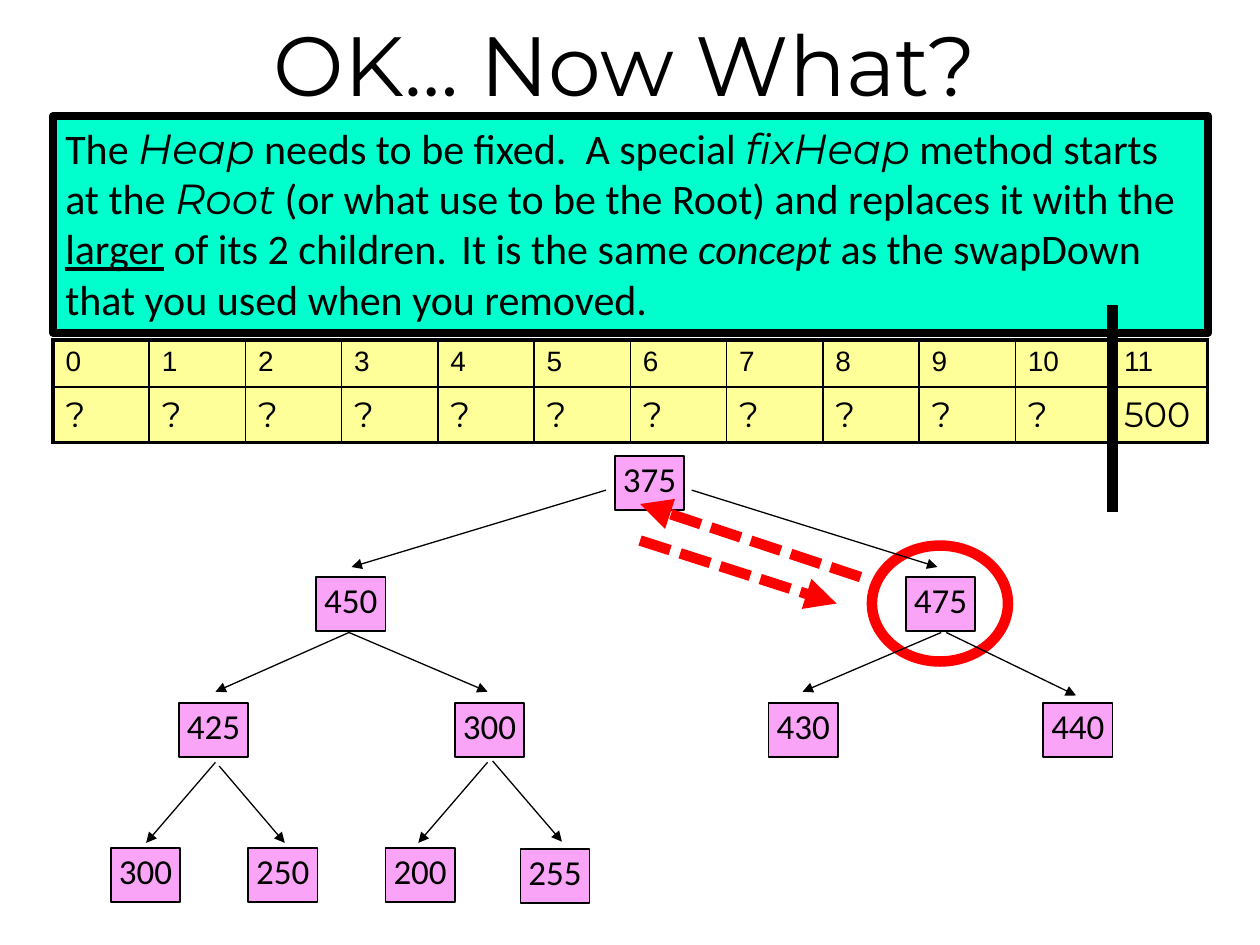
from pptx import Presentation
from pptx.dml.color import RGBColor
from pptx.enum.dml import MSO_LINE
from pptx.enum.shapes import MSO_CONNECTOR, MSO_SHAPE
from pptx.enum.text import MSO_ANCHOR, PP_ALIGN
from pptx.oxml.ns import qn
from pptx.util import Inches, Pt
from lxml import etree

STRAIGHT = MSO_CONNECTOR.STRAIGHT
RECT, OVAL = MSO_SHAPE.RECTANGLE, MSO_SHAPE.OVAL
TOP, MIDDLE = MSO_ANCHOR.TOP, MSO_ANCHOR.MIDDLE
LEFT, CENTER = PP_ALIGN.LEFT, PP_ALIGN.CENTER
DOTTED = MSO_LINE.SQUARE_DOT
BLACK, RED, MINT, YELLOW, PINK = "000000", "FF0000", "00FFCC", "FFFF99", "FAA4F8"

MESSAGE = [
    ("The ", {}),
    ("Heap", {"name": "Montserrat", "italic": True}),
    (" needs to be fixed.  A special ", {}),
    ("fixHeap", {"name": "Montserrat", "italic": True}),
    (" method starts at the ", {}),
    ("Root", {"name": "Montserrat", "italic": True}),
    (" (or what use to be the Root) and replaces it with the ", {}),
    ("larger", {"underline": True}),
    (" of its 2 children.", {}),
    ("  ", {"size": Pt(18)}),
    ("It is the same ", {}),
    ("concept", {"italic": True}),
    (" as the swapDown that you used when you removed.", {}),
]
NODES = [
    ("375", 4, 0), ("450", 1.63, 0.96), ("475", 6.31, 0.96),
    ("425", 0.54, 1.96), ("300", 2.73, 1.96), ("430", 5.22, 1.96), ("440", 7.4, 1.96),
    ("300", 0, 3.11), ("250", 1.09, 3.11), ("200", 2.18, 3.11), ("255", 3.25, 3.12),
]
BRANCHES = [
    (3.93, 0.27, 1.91, 0.88), (4.61, 0.27, 6.56, 0.88),
    (1.89, 1.4, 0.83, 1.87), (1.89, 1.4, 2.99, 1.87),
    (6.59, 1.4, 5.49, 1.87), (6.63, 1.4, 7.66, 1.9),
    (0.83, 2.43, 0.28, 3.07), (0.86, 2.46, 1.38, 3.07),
    (2.99, 2.43, 2.44, 3.07), (3.03, 2.42, 3.58, 3.06),
]
SWAPS = [(5.95, 0.96, 4.2, 0.38), (4.2, 0.67, 5.76, 1.17)]


def rgb(value):
    """Turn a hex string into a colour."""
    return RGBColor.from_string(value)


def write(paragraph, text, **changes):
    """Add a run in the body style with the given changes."""
    run = paragraph.add_run()
    run.text = text
    style = {"name": "Calibri", "size": Pt(20), "italic": False} | changes
    for key, value in style.items():
        setattr(run.font, key, value)
    run.font.color.rgb = rgb(BLACK)


def outlined(slide, preset, box, fill, line, width):
    """Place a preset shape with an outline and an optional fill."""
    shape = slide.shapes.add_shape(preset, *map(Inches, box))
    shape.shadow.inherit = False
    if fill:
        shape.fill.solid()
        shape.fill.fore_color.rgb = rgb(fill)
    else:
        shape.fill.background()
    shape.line.color.rgb = rgb(line)
    shape.line.width = Pt(width)
    return shape


def stroke(slide, ends, color, width, arrow=True, dash=None):
    """Draw a straight line, with an arrowhead at its end if wanted."""
    connector = slide.shapes.add_connector(STRAIGHT, *map(Inches, ends))
    connector.line.color.rgb = rgb(color)
    connector.line.width = Pt(width)
    if dash:
        connector.line.dash_style = dash
    if arrow:
        line = connector.line._get_or_add_ln()
        etree.SubElement(line, qn("a:tailEnd"), type="triangle")
    etree.SubElement(connector._element.spPr, qn("a:effectLst"))


def add_title(slide, box, text):
    """Move the title placeholder into its box and fill it."""
    title = slide.shapes.title
    title.left, title.top, title.width, title.height = map(Inches, box)
    title.text_frame.vertical_anchor = MIDDLE
    paragraph = title.text_frame.paragraphs[0]
    paragraph.alignment = CENTER
    write(paragraph, text, name="Montserrat", size=Pt(48))


def add_message(slide, box):
    """Build the framed explanation."""
    frame = outlined(slide, RECT, box, MINT, BLACK, 4.5).text_frame
    frame.word_wrap = True
    frame.vertical_anchor = TOP
    paragraph = frame.paragraphs[0]
    paragraph.alignment = LEFT
    for text, changes in MESSAGE:
        write(paragraph, text, **({"size": Pt(24)} | changes))


def add_border(cell, side, width):
    """Draw one border of a table cell."""
    line = etree.SubElement(cell._tc.get_or_add_tcPr(), qn("a:ln" + side), w=str(Pt(width)))
    fill = etree.SubElement(line, qn("a:solidFill"))
    etree.SubElement(fill, qn("a:srgbClr"), val=BLACK)


def add_heap_array(slide, box):
    """Build the array of indexes and values."""
    rows = [
        (0.37, [str(i) for i in range(12)], {"name": "Arial", "size": Pt(16)}),
        (0.43, ["?"] * 11 + ["500"], {"name": "Montserrat"}),
    ]
    table = slide.shapes.add_table(2, 12, *map(Inches, box)).table
    for column in table.columns:
        column.width = Inches(box[2] / 12)
    for r, (height, values, style) in enumerate(rows):
        table.rows[r].height = Inches(height)
        for c, value in enumerate(values):
            cell = table.cell(r, c)
            outer = {"L": c == 0, "R": c == 11, "T": r == 0, "B": r == 1}
            for side, thick in outer.items():
                add_border(cell, side, 2.25 if thick else 1)
            cell.fill.solid()
            cell.fill.fore_color.rgb = rgb(YELLOW)
            write(cell.text_frame.paragraphs[0], value, bold=False, **style)


def add_node(slide, box, value):
    """Place one heap node."""
    frame = outlined(slide, RECT, box, PINK, BLACK, 1).text_frame
    for side in ("left", "top", "right", "bottom"):
        setattr(frame, "margin_" + side, Inches(0.01))
    frame.vertical_anchor = TOP
    frame.paragraphs[0].alignment = CENTER
    write(frame.paragraphs[0], value)


def add_tree(slide, left, top):
    """Build the heap tree, the larger child's ring and the swap arrows."""
    def shifted(ends):
        return [v + (top if i % 2 else left) for i, v in enumerate(ends)]

    outlined(slide, OVAL, (left + 6.04, top + 0.71, 1.08, 0.92), None, RED, 6)
    for value, x, y in NODES:
        add_node(slide, (left + x, top + y, 0.55, 0.43), value)
    for branch in BRANCHES:
        stroke(slide, shifted(branch), BLACK, 0.75)
    for swap in SWAPS:
        stroke(slide, shifted(swap), RED, 6, dash=DOTTED)


def main():
    """Build and save the slide."""
    deck = Presentation()
    deck.slide_width, deck.slide_height = Inches(10), Inches(7.5)
    slide = deck.slides.add_slide(deck.slide_layouts[5])
    add_title(slide, (0, 0, 9.92, 1), "OK… Now What?")
    add_message(slide, (0.42, 0.92, 9.17, 1.72))
    add_heap_array(slide, (0.42, 2.7, 9.17, 0.8))
    add_tree(slide, 0.88, 3.62)
    stroke(slide, (8.83, 4.06, 8.83, 2.42), BLACK, 6, arrow=False)
    deck.save("out.pptx")


main()
